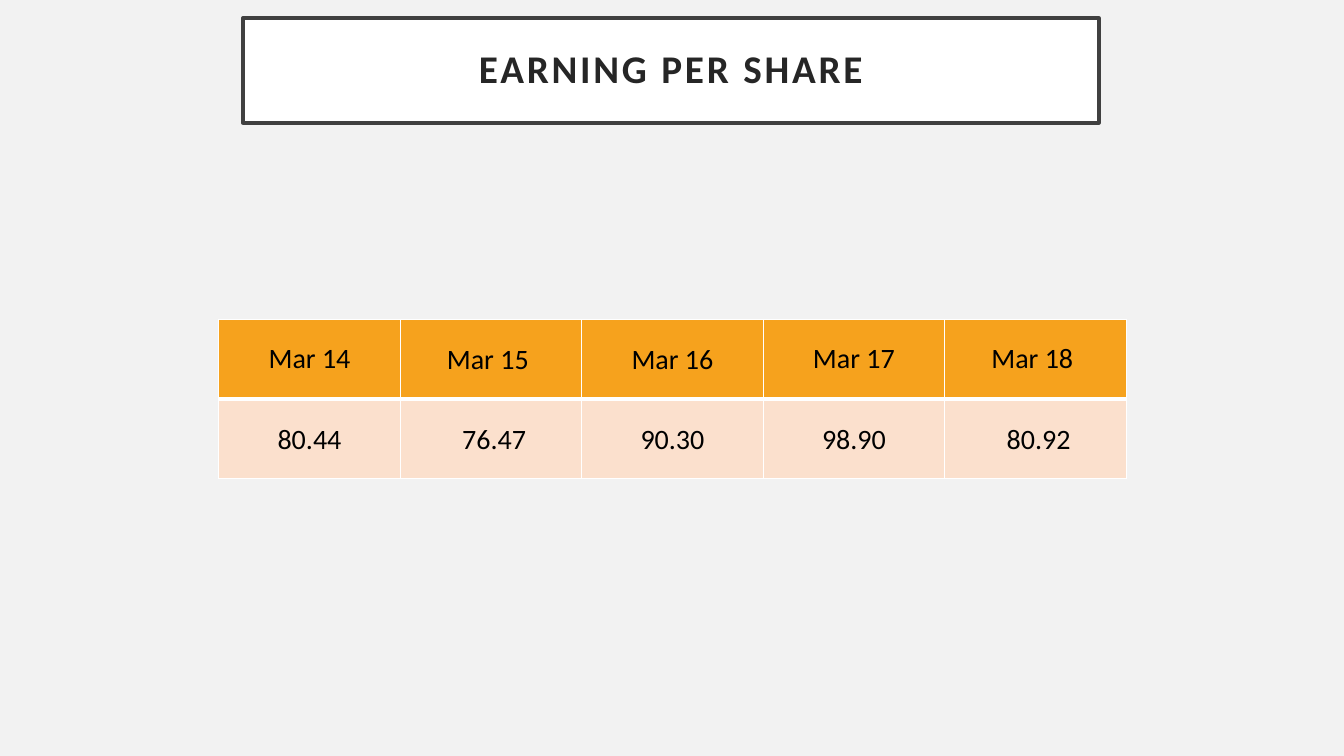
from lxml import etree
from pptx import Presentation
from pptx.dml.color import RGBColor
from pptx.enum.shapes import MSO_SHAPE
from pptx.enum.text import MSO_ANCHOR, PP_ALIGN
from pptx.oxml.ns import qn
from pptx.util import Inches, Pt

RECTANGLE = MSO_SHAPE.RECTANGLE
MIDDLE = MSO_ANCHOR.MIDDLE
CENTER = PP_ALIGN.CENTER

BACKGROUND = RGBColor(0xF2, 0xF2, 0xF2)
WHITE = RGBColor(0xFF, 0xFF, 0xFF)
BLACK = RGBColor(0x00, 0x00, 0x00)
FRAME = RGBColor(0x40, 0x40, 0x40)
TITLE_TEXT = RGBColor(0x26, 0x26, 0x26)
HEADER_FILL = RGBColor(0xF6, 0xA2, 0x1D)
VALUE_FILL = RGBColor(0xFB, 0xE0, 0xCD)

FONT = "Calibri"
COLUMN_WIDTH, ROW_HEIGHT = 1.8, 0.79
EARNINGS = [
    ["Mar 14", "Mar 15 ", "Mar 16", "Mar 17", "Mar 18 "],
    ["80.44", " 76.47", "90.30", "98.90", " 80.92"],
]
ROOMY_HEADERS = {0, 3, 4}  # header columns with the default cell margins


def write(frame, text, size, color):
    para = frame.paragraphs[0]
    para.alignment = CENTER
    span = para.add_run()
    span.text = text
    span.font.name = FONT
    span.font.size = Pt(size)
    span.font.color.rgb = color
    return para, span


def draw_borders(cell, widths):
    properties = cell._tc.get_or_add_tcPr()
    for index, (side, width) in enumerate(widths.items()):
        line = etree.Element(qn(f"a:ln{side}"), w=str(Pt(width)))
        fill = etree.SubElement(line, qn("a:solidFill"))
        etree.SubElement(fill, qn("a:srgbClr"), val=str(WHITE))
        properties.insert(index, line)


# Page
deck = Presentation()
deck.slide_width, deck.slide_height = Inches(13.33), Inches(7.5)
page = deck.slides.add_slide(deck.slide_layouts[6])
page.background.fill.solid()
page.background.fill.fore_color.rgb = BACKGROUND

# Framed title
box = page.shapes.add_shape(
    RECTANGLE, Inches(2.41), Inches(0.18), Inches(8.49), Inches(1.04))
box.shadow.inherit = False
box.fill.solid()
box.fill.fore_color.rgb = WHITE
box.line.color.rgb = FRAME
box.line.width = Pt(2.5)
frame = box.text_frame
frame.word_wrap = True
frame.vertical_anchor = MIDDLE
frame.margin_left = frame.margin_right = Inches(0.2)
frame.margin_top = frame.margin_bottom = Inches(0.2)
para, span = write(frame, "EARNING PER SHARE", 28, TITLE_TEXT)
para.line_spacing = 0.9
span.font.bold = True
span.font._element.set("spc", "200")

# Earnings table
row_count, column_count = len(EARNINGS), len(EARNINGS[0])
table = page.shapes.add_table(
    row_count, column_count, Inches(2.17), Inches(3.17),
    Inches(column_count * COLUMN_WIDTH), Inches(row_count * ROW_HEIGHT)).table
for column in table.columns:
    column.width = Inches(COLUMN_WIDTH)
for row in table.rows:
    row.height = Inches(ROW_HEIGHT)

for row, texts in enumerate(EARNINGS):
    is_header = row == 0
    for column, text in enumerate(texts):
        cell = table.cell(row, column)
        cell.vertical_anchor = MIDDLE
        if not (is_header and column in ROOMY_HEADERS):
            cell.margin_left = cell.margin_right = Inches(0.01)
            cell.margin_top, cell.margin_bottom = Inches(0.01), 0
        cell.fill.solid()
        cell.fill.fore_color.rgb = HEADER_FILL if is_header else VALUE_FILL
        draw_borders(cell, {"L": 1, "R": 1, "T": 1 if is_header else 3,
                            "B": 3 if is_header else 1})
        para, span = write(cell.text_frame, text, 20, BLACK)
        span.font.bold = False

deck.save("out.pptx")
